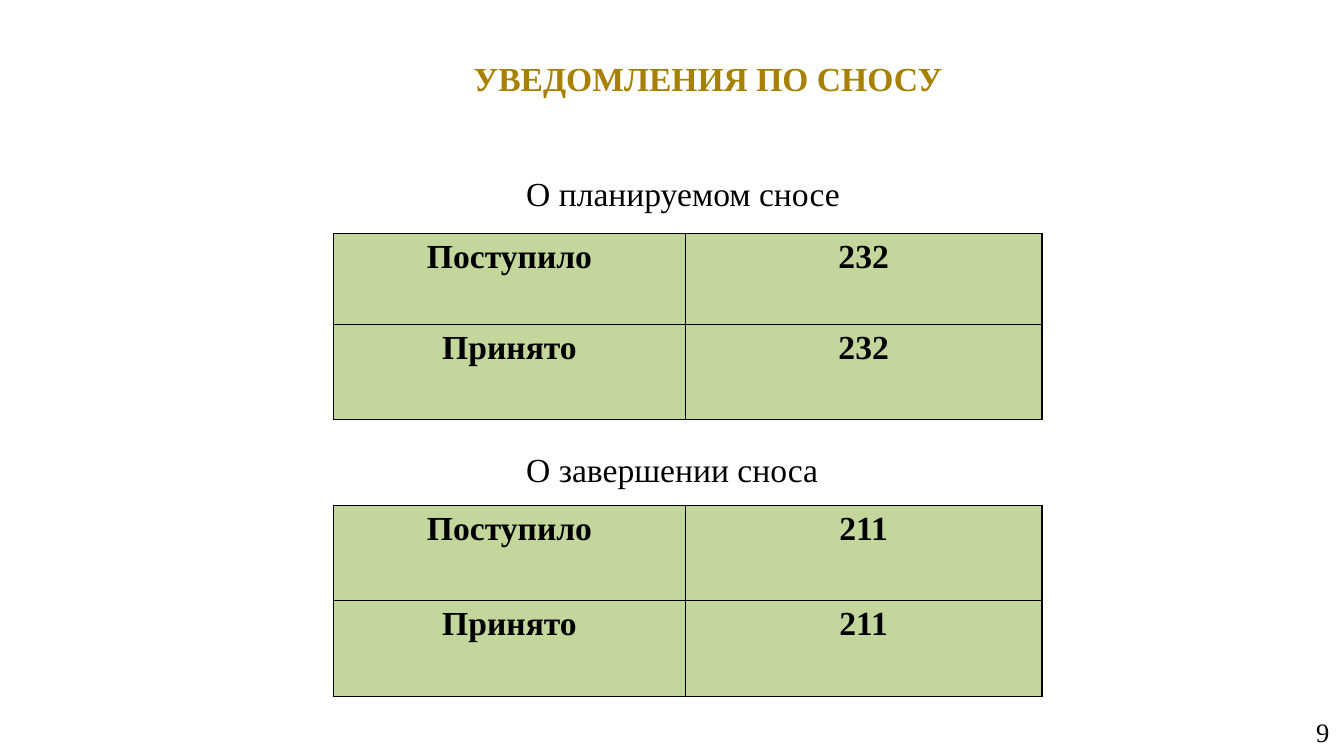
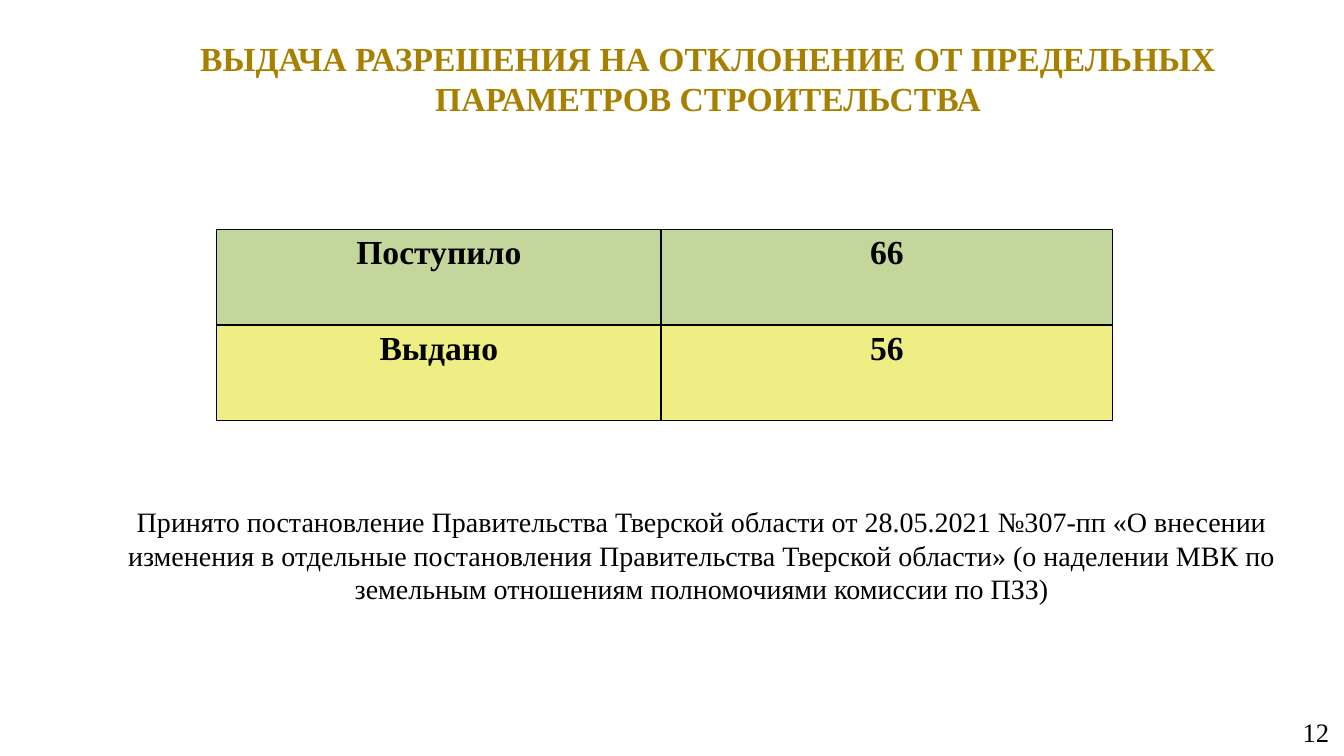
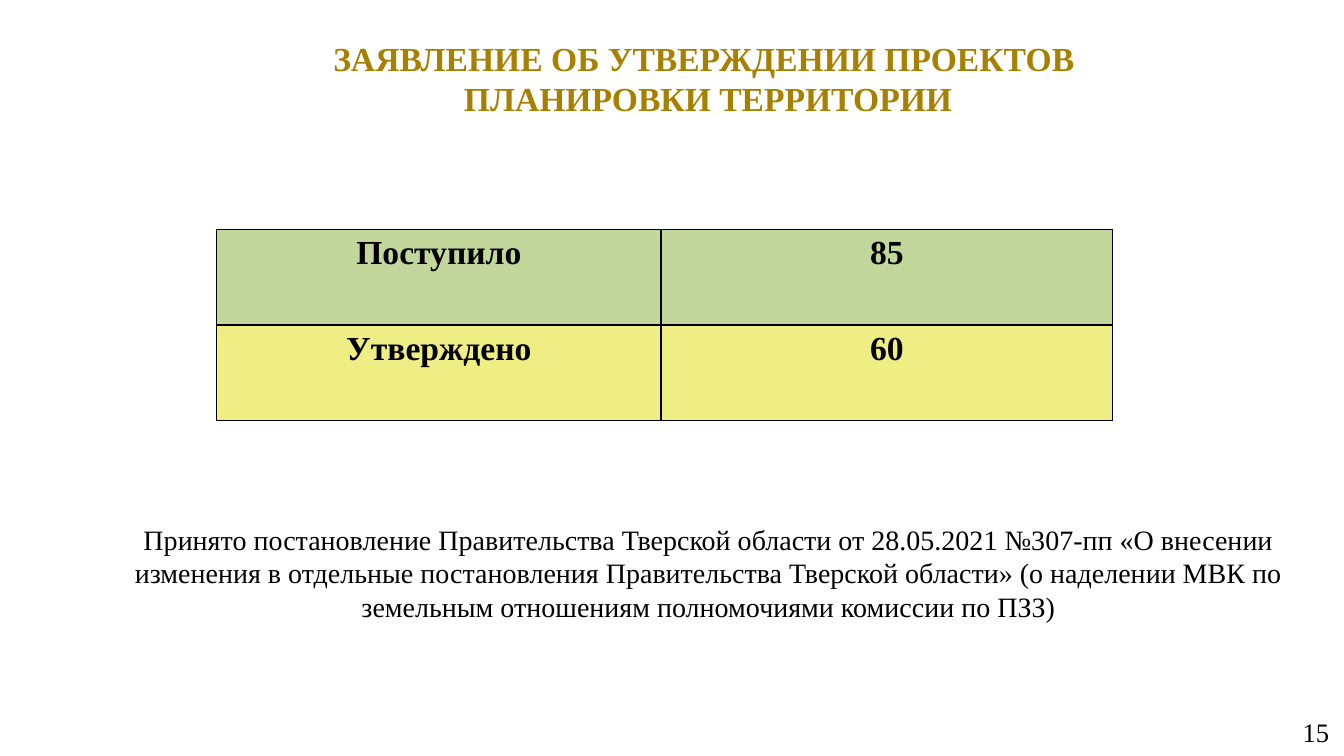
"""Build three slides on construction notices and permits."""
from lxml import etree
from pptx import Presentation
from pptx.dml.color import RGBColor
from pptx.enum import text
from pptx.oxml import ns
from pptx.util import Cm, Pt

GOLD = RGBColor(0xA8, 0x80, 0x00)
BLACK = RGBColor(0x00, 0x00, 0x00)
GREEN = RGBColor(0xC3, 0xD6, 0x9B)
YELLOW = RGBColor(0xEE, 0xEE, 0x84)

LEFT, CENTER, RIGHT = text.PP_ALIGN.LEFT, text.PP_ALIGN.CENTER, text.PP_ALIGN.RIGHT
TOP, MIDDLE = text.MSO_ANCHOR.TOP, text.MSO_ANCHOR.MIDDLE

DECREE = (
    "Принято постановление Правительства Тверской области от 28.05.2021 №307-пп "
    "«О внесении изменения в отдельные постановления Правительства Тверской области» "
    "(о наделении МВК по земельным отношениям полномочиями комиссии по ПЗЗ)"
)


class Deck:
    """Shared style and the slide being filled."""

    FONT = "Times New Roman"
    FRAME = {
        "margin_left": Cm(0.33),
        "margin_right": Cm(0.33),
        "margin_top": Cm(0.18),
        "margin_bottom": Cm(0.18),
        "word_wrap": True,
        "auto_size": text.MSO_AUTO_SIZE.NONE,
    }
    CELL = {
        "margin_left": Cm(0.33),
        "margin_right": Cm(0.33),
        "margin_top": Cm(0.13),
        "margin_bottom": Cm(0.13),
        "vertical_anchor": TOP,
    }

    def __init__(self):
        self.deck = Presentation()
        self.deck.slide_width, self.deck.slide_height = Cm(33.87), Cm(19.05)
        self.slide = None

    @staticmethod
    def apply(target, values):
        """Set each named format value on the target."""
        for name, value in values.items():
            setattr(target, name, value)

    def put_words(self, frame, words, size, align, color=BLACK, bold=False):
        """Put styled words into a text frame."""
        frame.text = words
        paragraph = frame.paragraphs[0]
        paragraph.alignment = align
        for run in paragraph.runs:
            self.apply(run.font, {"name": self.FONT, "size": Pt(size), "bold": bold})
            run.font.color.rgb = color

    def page(self, heading, number):
        """Start a slide with its title and page number."""
        self.slide = self.deck.slides.add_slide(self.deck.slide_layouts[5])
        title = self.slide.shapes.title
        self.apply(title, {"left": Cm(3.33), "top": Cm(0.71),
                           "width": Cm(29.03), "height": Cm(2.51)})
        self.apply(title.text_frame, {**self.FRAME, "vertical_anchor": MIDDLE})
        self.put_words(title.text_frame, heading, 24, CENTER, GOLD, True)
        self.label(str(number), (25.96, 17.96, 7.87, 0.99), 19, RIGHT, MIDDLE)

    def label(self, words, box, size=24, align=LEFT, anchor=TOP):
        """Add plain text in a box given in centimetres."""
        frame = self.slide.shapes.add_textbox(*map(Cm, box)).text_frame
        self.apply(frame, {**self.FRAME, "vertical_anchor": anchor})
        self.put_words(frame, words, size, align)

    def border(self, cell):
        """Draw a thin black line on every side of a cell."""
        properties = cell._tc.get_or_add_tcPr()
        for side in ("a:lnL", "a:lnR", "a:lnT", "a:lnB"):
            line = etree.SubElement(properties, ns.qn(side), w=str(Pt(0.96)))
            fill = etree.SubElement(line, ns.qn("a:solidFill"))
            etree.SubElement(fill, ns.qn("a:srgbClr"), val=str(BLACK))

    def counts(self, place, widths, heights, rows):
        """Add a table of (name, count, fill) rows."""
        table = self.slide.shapes.add_table(
            len(rows), len(widths), *map(Cm, (*place, sum(widths), sum(heights)))).table
        self.apply(table, {"first_row": False, "horz_banding": False})
        for column, width in zip(table.columns, widths):
            column.width = Cm(width)
        for row, height, (name, count, color) in zip(table.rows, heights, rows):
            row.height = Cm(height)
            for cell, words in zip(row.cells, (name, str(count))):
                self.apply(cell, self.CELL)
                self.border(cell)
                cell.fill.solid()
                cell.fill.fore_color.rgb = color
                self.put_words(cell.text_frame, words, 24, CENTER, bold=True)


def main():
    """Fill the slides and save the deck."""
    deck = Deck()

    deck.page("УВЕДОМЛЕНИЯ ПО СНОСУ", 9)
    for stage, label_box, table_top, heights, count in (
        ("О планируемом сносе", (12.93, 4.19, 8.76, 1.35), 5.89, (2.29, 2.39), 232),
        ("О завершении сноса", (12.93, 11.13, 8.18, 1.35), 12.73, (2.41, 2.41), 211),
    ):
        deck.counts((8.41, table_top), (8.86, 8.99), heights,
                    [(name, count, GREEN) for name in ("Поступило", "Принято")])
        deck.label(stage, label_box)

    for heading, number, received, outcome, granted, decree_box in (
        ("ВЫДАЧА РАЗРЕШЕНИЯ НА ОТКЛОНЕНИЕ ОТ ПРЕДЕЛЬНЫХ ПАРАМЕТРОВ СТРОИТЕЛЬСТВА",
         12, 66, "Выдано", 56, (2.57, 12.65, 30.23, 2.67)),
        ("ЗАЯВЛЕНИЕ ОБ УТВЕРЖДЕНИИ ПРОЕКТОВ \vПЛАНИРОВКИ ТЕРРИТОРИИ",
         15, 85, "Утверждено", 60, (2.74, 12.65, 30.23, 3.56)),
    ):
        deck.page(heading, number)
        deck.counts((5.46, 5.79), (11.2, 11.38), (2.4, 2.4),
                    [("Поступило", received, GREEN), (outcome, granted, YELLOW)])
        deck.label(DECREE, decree_box, 20, CENTER, MIDDLE)

    deck.deck.save("out.pptx")


if __name__ == "__main__":
    main()
